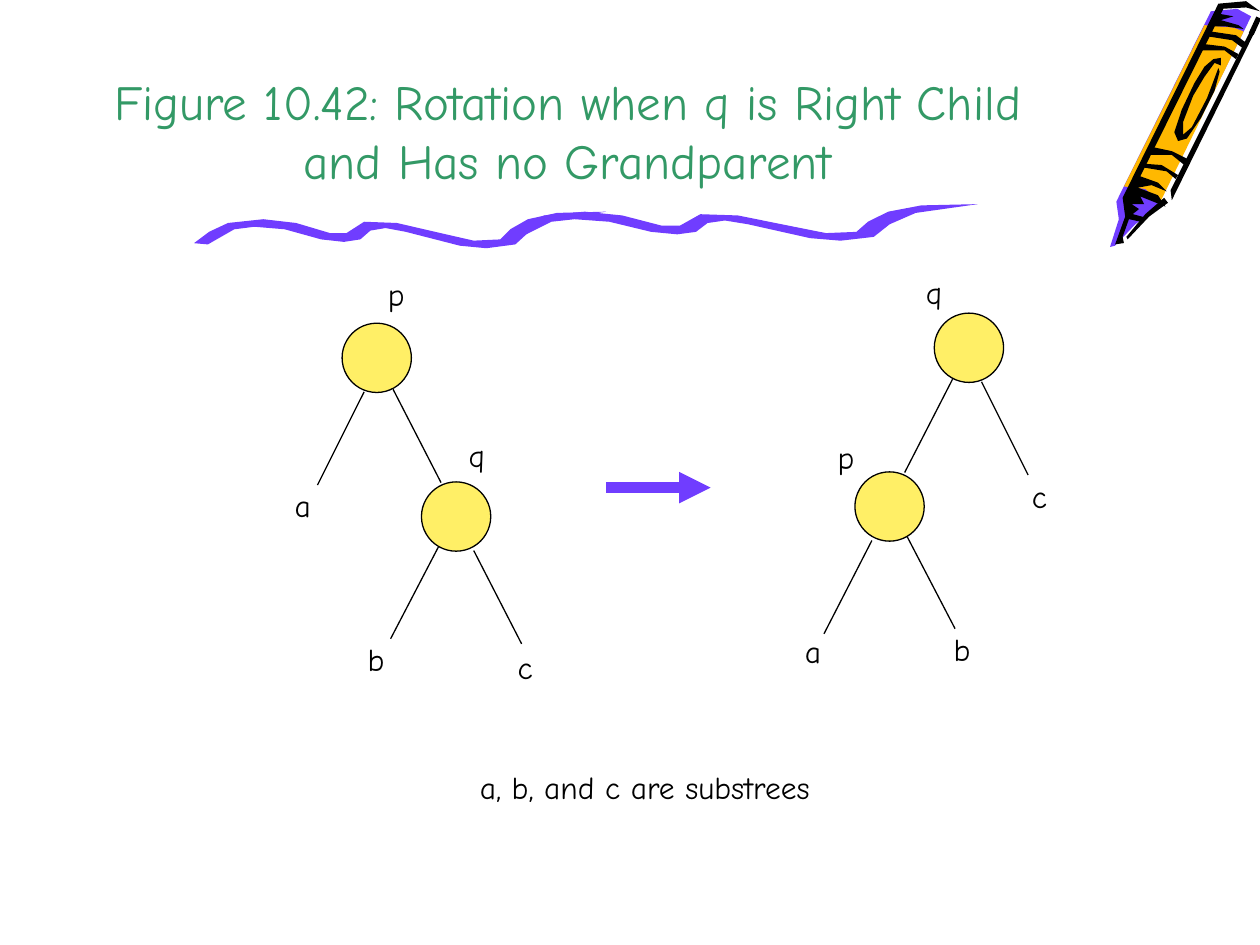
"""Builds the slide on tree rotation when q is a right child with no grandparent."""
from typing import NamedTuple

from lxml import etree
from pptx import Presentation
from pptx.dml.color import RGBColor
from pptx.enum import shapes, text
from pptx.oxml import ns
from pptx.util import Inches, Pt

PURPLE = RGBColor(0x70, 0x3D, 0xFF)
ORANGE = RGBColor(0xFF, 0xB8, 0x00)
YELLOW = RGBColor(0xFF, 0xEF, 0x66)
GREEN = RGBColor(0x33, 0x99, 0x66)
BLACK = RGBColor(0, 0, 0)
FONT = "Comic Neue"
NODE_SIZE = 0.55

Point = tuple[float, float]


class Patch(NamedTuple):
    color: RGBColor
    outline: list[Point]


class Tree(NamedTuple):
    root: Point
    direction: int


class Label(NamedTuple):
    wording: str
    left: float
    top: float
    width: float = 0.38


CRAYON = [
    Patch(PURPLE, [(9.93, 0.13), (9.17, 1.66), (9.01, 1.78), (8.85, 1.95), (8.81, 1.96),
                   (8.88, 1.74), (8.86, 1.6), (9.61, 0.09), (9.82, 0.07)]),
    Patch(ORANGE, [(9.21, 1.6), (9.09, 1.5), (8.92, 1.48), (9.56, 0.2), (9.79, 0.22),
                   (9.87, 0.25)]),
    Patch(BLACK, [(9.27, 1.61), (9.12, 1.72), (8.95, 1.9), (8.94, 1.88), (9.09, 1.7),
                  (9.24, 1.57)]),
    Patch(BLACK, [(9.87, 0.23), (9.73, 0.21), (9.61, 0.21), (9.68, 0.11), (9.79, 0.13),
                  (9.69, 0.16), (9.83, 0.2)]),
    Patch(BLACK, [(9.68, 0.57), (9.64, 0.72), (9.53, 0.94), (9.42, 1.1), (9.35, 1.12),
                  (9.32, 1.05), (9.38, 0.87), (9.48, 0.66), (9.56, 0.53), (9.63, 0.47),
                  (9.69, 0.46), (9.69, 0.52), (9.64, 0.5), (9.56, 0.61), (9.47, 0.76),
                  (9.39, 0.97), (9.39, 1.07), (9.46, 1.01), (9.58, 0.78), (9.67, 0.54)]),
    Patch(BLACK, [(9.97, 0.23), (9.3, 1.59), (9.29, 1.51), (9.93, 0.23)]),
    Patch(BLACK, [(9.25, 1.64), (9.19, 1.55), (9.03, 1.49), (9.14, 1.47), (9.26, 1.52),
                  (9.19, 1.45), (9.05, 1.4), (9.71, 0.07), (9.89, 0.06), (10, 0.09),
                  (9.89, 0.01), (9.67, 0.03), (8.91, 1.57), (8.93, 1.72), (8.85, 1.94),
                  (8.92, 1.93), (8.91, 1.88), (8.96, 1.74), (9.05, 1.76), (9.1, 1.73),
                  (8.99, 1.7), (9.04, 1.66), (8.98, 1.62), (9.08, 1.62), (9.05, 1.56)]),
    Patch(BLACK, [(9.33, 1.42), (9.26, 1.36), (9.08, 1.33), (9.09, 1.3), (9.22, 1.31),
                  (9.35, 1.39)]),
    Patch(BLACK, [(9.4, 1.31), (9.3, 1.23), (9.13, 1.23), (9.16, 1.17), (9.3, 1.2),
                  (9.42, 1.26)]),
    Patch(BLACK, [(9.81, 0.47), (9.72, 0.4), (9.53, 0.4), (9.56, 0.35), (9.72, 0.37),
                  (9.83, 0.43)]),
    Patch(BLACK, [(9.86, 0.38), (9.78, 0.32), (9.59, 0.29), (9.61, 0.25), (9.81, 0.28),
                  (9.89, 0.34)]),
]

WAVE = [(1.65, 1.94), (1.86, 1.82), (2.02, 1.8), (2.26, 1.82), (2.55, 1.9), (2.73, 1.92),
        (2.86, 1.9), (2.94, 1.83), (3.06, 1.81), (3.22, 1.84), (3.65, 1.95), (3.86, 1.97),
        (4.09, 1.94), (4.2, 1.84), (4.38, 1.75), (4.81, 1.68), (4.42, 1.69), (4.19, 1.74),
        (4.05, 1.82), (3.97, 1.9), (3.76, 1.91), (3.54, 1.86), (3.15, 1.77), (2.89, 1.76),
        (2.75, 1.85), (2.62, 1.85), (2.35, 1.77), (2.09, 1.74), (1.81, 1.77), (1.66, 1.84),
        (1.54, 1.93)]
LONG_WAVE = [(4.01 + (x - 1.54) * 1.147, y - 0.06) for x, y in WAVE]

TREES = [Tree((2.99, 2.84), 1), Tree((7.69, 2.76), -1)]
NODE_OFFSETS = [(0, 0), (0.63, 1.26)]
EDGE_OFFSETS = [
    ((0.13, 0.25), (0.51, 0.99)),
    ((-0.1, 0.27), (-0.47, 1.01)),
    ((0.49, 1.5), (0.11, 2.23)),
    ((0.77, 1.53), (1.15, 2.27)),
]

LABELS = [
    Label("a", 2.24, 3.81), Label("b", 2.82, 5.03), Label("c", 4.01, 5.09),
    Label("p", 2.98, 2.13, 0.41), Label("q", 3.62, 3.41, 0.41),
    Label("a", 6.29, 4.97), Label("b", 7.47, 4.95), Label("c", 8.09, 3.74),
    Label("p", 6.55, 3.43, 0.41), Label("q", 7.25, 2.12, 0.41),
    Label("a, b, and c are substrees", 3.71, 6.05, 3.24),
]


def draw_patch(slide, patch: Patch) -> None:
    start, *rest = [(Inches(x), Inches(y)) for x, y in patch.outline]
    builder = slide.shapes.build_freeform(*start)
    builder.add_line_segments(rest, close=True)
    outline = builder.convert_to_shape()
    outline.shadow.inherit = False
    outline.fill.solid()
    outline.fill.fore_color.rgb = patch.color
    outline.line.fill.background()


def draw_line(slide, start: Point, end: Point, color: RGBColor = BLACK,
              weight: float = 0.75, arrow: bool = False) -> None:
    line = slide.shapes.add_connector(
        shapes.MSO_CONNECTOR.STRAIGHT, *(Inches(v) for v in (*start, *end)))
    line.line.color.rgb = color
    line.line.width = Pt(weight)
    if arrow:
        etree.SubElement(line.line._get_or_add_ln(), ns.qn("a:tailEnd"), type="triangle")
    etree.SubElement(line._element.spPr, ns.qn("a:effectLst"))


def draw_tree(slide, tree: Tree) -> None:
    def place(offset: Point) -> Point:
        return tree.root[0] + tree.direction * offset[0], tree.root[1] + offset[1]

    for x, y in map(place, NODE_OFFSETS):
        node = slide.shapes.add_shape(
            shapes.MSO_SHAPE.OVAL, Inches(x - NODE_SIZE / 2), Inches(y - NODE_SIZE / 2),
            Inches(NODE_SIZE), Inches(NODE_SIZE))
        node.shadow.inherit = False
        node.fill.solid()
        node.fill.fore_color.rgb = YELLOW
        node.line.color.rgb = BLACK
        node.line.width = Pt(0.75)
    for start, end in EDGE_OFFSETS:
        draw_line(slide, place(start), place(end))


def draw_label(slide, label: Label, height: float = 0.4, size: int = 18,
               color: RGBColor = BLACK):
    frame = slide.shapes.add_textbox(
        Inches(label.left), Inches(label.top), Inches(label.width), Inches(height)).text_frame
    frame.word_wrap = True
    run = frame.paragraphs[0].add_run()
    run.text = label.wording
    run.font.name = FONT
    run.font.size = Pt(size)
    run.font.color.rgb = color
    return frame


def main() -> None:
    deck = Presentation()
    deck.slide_width, deck.slide_height = Inches(10), Inches(7.5)
    slide = deck.slides.add_slide(deck.slide_layouts[6])

    for patch in CRAYON:
        draw_patch(slide, patch)
    draw_line(slide, (9.99, 0.14), (9.93, 0.27), weight=3)
    for wave in (WAVE, LONG_WAVE):
        draw_patch(slide, Patch(PURPLE, wave))

    heading = Label("Figure 10.42: Rotation when q is Right Child and Has no Grandparent",
                    0.75, 0, 7.51)
    title = draw_label(slide, heading, height=1.55, size=28, color=GREEN)
    title.vertical_anchor = text.MSO_ANCHOR.BOTTOM
    title.paragraphs[0].alignment = text.PP_ALIGN.CENTER

    for tree in TREES:
        draw_tree(slide, tree)
    draw_line(slide, (4.81, 3.87), (5.64, 3.87), PURPLE, 6, arrow=True)
    for label in LABELS:
        draw_label(slide, label)
    deck.save("out.pptx")


if __name__ == "__main__":
    main()
